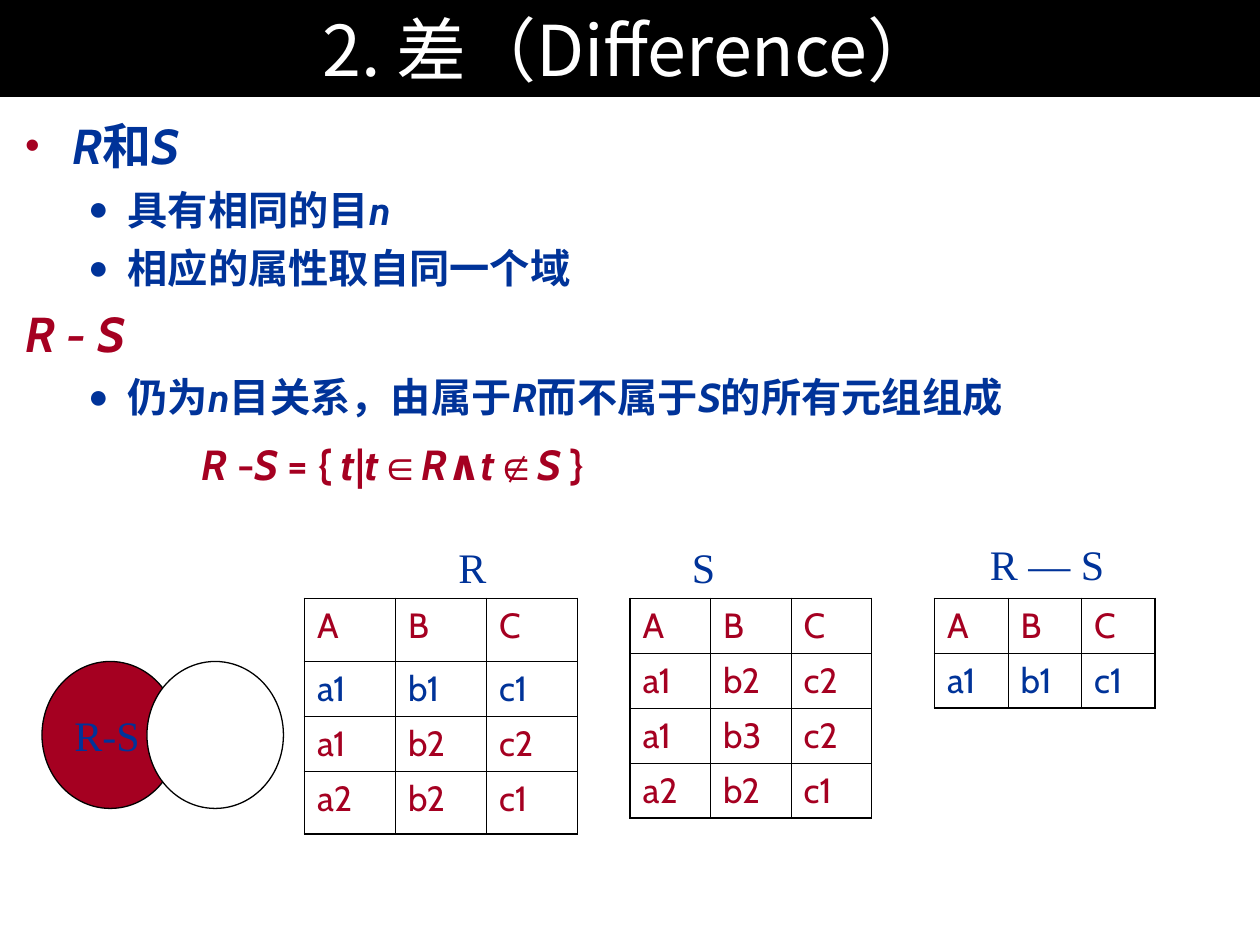
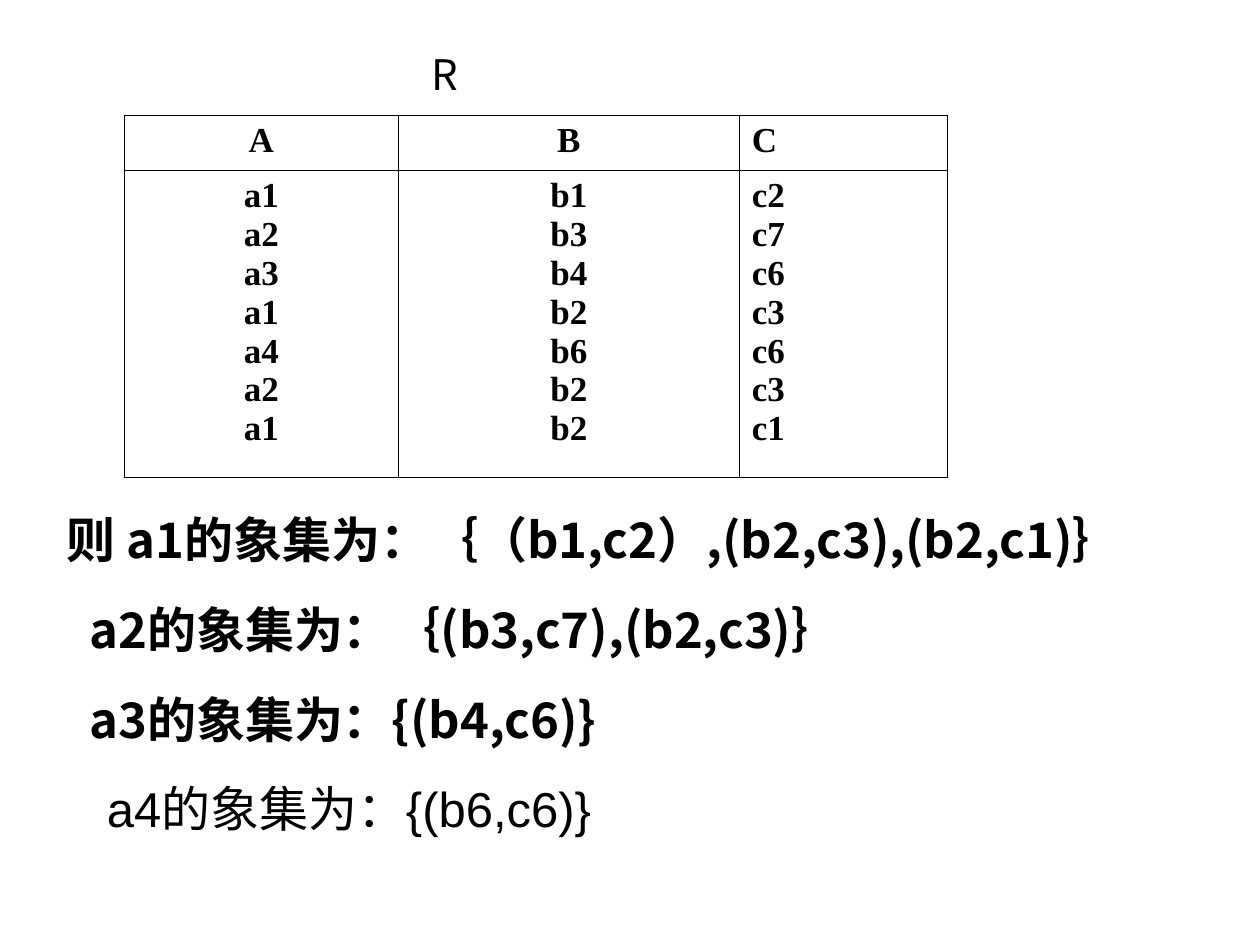
from dataclasses import dataclass

from lxml.etree import SubElement
from pptx import Presentation
from pptx.dml.color import RGBColor
from pptx.enum.shapes import MSO_SHAPE
from pptx.enum.text import MSO_ANCHOR, MSO_AUTO_SIZE, PP_ALIGN
from pptx.oxml.ns import qn
from pptx.util import Pt


@dataclass(frozen=True)
class Theme:
    black: str = "000000"
    white: str = "FFFFFF"
    red: str = "A50021"
    blue: str = "003399"
    cjk: str = "Noto Sans CJK SC"
    body: str = "Cabin"
    symbol: str = "Arial"
    serif: str = "Times New Roman"
    title_size: float = 40
    head_size: float = 28
    formula_size: float = 24
    label_size: float = 24
    item_size: float = 23
    cell_size: float = 20
    outer_line: float = 1.08
    inner_line: float = 0.45


THEME = Theme()
WIDTH, HEIGHT = 720, 540
BAND_HEIGHT = 55.4
TABLE_TOP = 342
ROW_HEIGHT = 31.4
SPACES = {"sb_head": 7, "sb_item": 5.8, "sb_formula": 10, "sb_image_set": 17.5}


def style_run(run, font, size, color, bold=False, italic=False):
    run.font.size = Pt(size)
    run.font.bold = bold
    run.font.italic = italic
    run.font.color.rgb = RGBColor.from_string(color)
    run.font.name = font
    east_asian = SubElement(run._r.get_or_add_rPr(), qn("a:ea"))
    east_asian.set("typeface", font)


def style_frame(frame, font, size, color, bold=False, align=PP_ALIGN.LEFT):
    for para in frame.paragraphs:
        para.alignment = align
        for run in para.runs:
            style_run(run, font, size, color, bold)


def add_title(page, text):
    """Black band across the top with the centred title."""
    title = page.shapes.title
    title.left, title.top, title.width, title.height = (
        Pt(value) for value in (0, 0, WIDTH, BAND_HEIGHT))
    title.fill.solid()
    title.fill.fore_color.rgb = RGBColor.from_string(THEME.black)
    frame = title.text_frame
    frame.text = text
    frame.auto_size = MSO_AUTO_SIZE.NONE
    frame.vertical_anchor = MSO_ANCHOR.MIDDLE
    style_frame(frame, THEME.cjk, THEME.title_size, THEME.white, align=PP_ALIGN.CENTER)


def add_box(page, left, top, width, height):
    box = page.shapes.add_textbox(Pt(left), Pt(top), Pt(width), Pt(height))
    box.text_frame.word_wrap = True
    return box.text_frame


def add_label(page, text, left, top, width, align=PP_ALIGN.CENTER):
    frame = add_box(page, left, top, width, 36)
    frame.text = text
    style_frame(frame, THEME.serif, THEME.label_size, THEME.blue, align=align)


def next_paragraph(frame, space_before):
    """The empty first paragraph of a new box, or a further one with space."""
    first = frame.paragraphs[0]
    if not first.runs:
        return first
    para = frame.add_paragraph()
    para.space_before = Pt(space_before)
    return para


def set_indent(para, left, first=0):
    properties = para._p.get_or_add_pPr()
    properties.set("marL", str(Pt(left)))
    properties.set("indent", str(Pt(first)))


def set_bullet(para, mark, color):
    properties = para._p.get_or_add_pPr()
    fill = SubElement(properties, qn("a:buClr"))
    SubElement(fill, qn("a:srgbClr")).set("val", color)
    SubElement(properties, qn("a:buSzPct")).set("val", "85000")
    SubElement(properties, qn("a:buFont")).set("typeface", "Arial")
    SubElement(properties, qn("a:buChar")).set("char", mark)


def add_marked_text(para, text, size, color):
    """Bold text in which underscores switch italics on and off."""
    para.alignment = PP_ALIGN.JUSTIFY
    for index, piece in enumerate(text.split("_")):
        if piece:
            run = para.add_run()
            run.text = piece
            font = THEME.symbol if piece in "∈∉" else THEME.body
            style_run(run, font, size, color, bold=True, italic=index % 2 == 1)


def add_head(frame, text, color, bullet=None):
    para = next_paragraph(frame, SPACES["sb_head"])
    if bullet:
        set_indent(para, 27, -27)
        set_bullet(para, bullet, THEME.red)
    add_marked_text(para, text, THEME.head_size, color)


def add_item(frame, text):
    para = next_paragraph(frame, SPACES["sb_item"])
    para.level = 1
    set_indent(para, 58.5, -22.5)
    set_bullet(para, "●", THEME.blue)
    add_marked_text(para, text, THEME.item_size, THEME.blue)


def add_formula(frame, text):
    para = next_paragraph(frame, SPACES["sb_formula"])
    set_indent(para, 101)
    add_marked_text(para, text, THEME.formula_size, THEME.red)


def add_circle(page, left, color, text=""):
    circle = page.shapes.add_shape(MSO_SHAPE.OVAL, Pt(left), Pt(378), Pt(78), Pt(84))
    circle.shadow.inherit = False
    circle.fill.solid()
    circle.fill.fore_color.rgb = RGBColor.from_string(color)
    circle.line.color.rgb = RGBColor.from_string(THEME.black)
    circle.line.width = Pt(0.75)
    if text:
        frame = circle.text_frame
        frame.text = text
        frame.word_wrap = False
        frame.vertical_anchor = MSO_ANCHOR.MIDDLE
        style_frame(frame, THEME.serif, THEME.label_size, THEME.blue)


def add_grid(page, left, top, widths, heights):
    """An unstyled table with the given column widths and row heights."""
    table = page.shapes.add_table(
        len(heights), len(widths), Pt(left), Pt(top), Pt(sum(widths)), Pt(sum(heights))).table
    table.first_row = table.horz_banding = False
    for column, width in zip(table.columns, widths):
        column.width = Pt(width)
    for row, height in zip(table.rows, heights):
        row.height = Pt(height)
    return table


def set_borders(cell, widths):
    properties = cell._tc.get_or_add_tcPr()
    for side, width in zip("LRTB", widths):
        line = SubElement(properties, qn(f"a:ln{side}"))
        line.set("w", str(Pt(width)))
        fill = SubElement(line, qn("a:solidFill"))
        SubElement(fill, qn("a:srgbClr")).set("val", THEME.black)


def draw_rules(table, outer):
    """Thin inner rules and a frame of the given width."""
    last_row, last_column = len(table.rows) - 1, len(table.columns) - 1
    for r, row in enumerate(table.rows):
        for c, cell in enumerate(row.cells):
            on_edge = (c == 0, c == last_column, r == 0, r == last_row)
            set_borders(cell, [outer if edge else THEME.inner_line for edge in on_edge])


def clear_fills(table):
    for cell in table.iter_cells():
        cell.fill.background()


def add_relation(page, left, column_width, rows, heights, blue_row=None):
    """A relation with columns A, B, C; one row may be picked out in blue."""
    rows = ["A B C", *rows]
    table = add_grid(page, left, TABLE_TOP, [column_width] * 3, heights)
    draw_rules(table, THEME.outer_line)
    clear_fills(table)
    for r, values in enumerate(rows):
        color = THEME.blue if r == blue_row else THEME.red
        for c, value in enumerate(values.split()):
            frame = table.cell(r, c).text_frame
            frame.text = value
            style_frame(frame, THEME.body, THEME.cell_size, color)


def add_caption_table(page, text):
    """Borderless table whose first cell names the relation."""
    table = add_grid(page, 48, 20.2, [221, 388], [36, 199])
    table.cell(0, 1).merge(table.cell(1, 1))
    clear_fills(table)
    frame = table.cell(0, 0).text_frame
    frame.text = text
    style_frame(frame, THEME.cjk, THEME.label_size, THEME.black, align=PP_ALIGN.RIGHT)


def add_column_table(page, columns):
    """Header row above one tall row that stacks each column's values."""
    table = add_grid(page, 71, 65.7, [156.7, 194.8, 119], [31.5, 175.4])
    draw_rules(table, THEME.inner_line)
    clear_fills(table)
    for c, (name, values) in enumerate(columns.items()):
        align = PP_ALIGN.LEFT if name == "C" else PP_ALIGN.CENTER
        for r, text in enumerate((name, "\n".join(values.split()))):
            frame = table.cell(r, c).text_frame
            frame.text = text
            style_frame(frame, THEME.serif, THEME.cell_size, THEME.black, True, align)


def add_image_sets(page, lines):
    frame = add_box(page, 31, 287.5, 641, 228)
    for text, indent, font, bold, align in lines:
        para = next_paragraph(frame, SPACES["sb_image_set"])
        para.text = text
        para.alignment = align
        para.line_spacing = Pt(33.8)
        set_indent(para, indent)
        style_run(para.runs[0], font, THEME.head_size, THEME.black, bold)


def build_difference(deck):
    page = deck.slides.add_slide(deck.slide_layouts[5])
    add_title(page, "2. 差（Difference）")

    # Definition
    frame = add_box(page, 0, BAND_HEIGHT, WIDTH, HEIGHT - BAND_HEIGHT)
    frame.margin_left = frame.margin_right = Pt(14.4)
    frame.margin_top = frame.margin_bottom = Pt(10.8)
    add_head(frame, "_R_和_S_", THEME.blue, "•")
    add_item(frame, "具有相同的目_n_")
    add_item(frame, "相应的属性取自同一个域")
    add_head(frame, "_R - S_", THEME.red)
    add_item(frame, "仍为_n_目关系，由属于_R_而不属于_S_的所有元组组成")
    add_formula(frame, "_R _-_S_ = { _t_|_t_∈_R_∧_t_∉_S_ }")

    # Venn diagram
    add_circle(page, 24, THEME.red, "R-S")
    add_circle(page, 84, THEME.white)

    # Relations and their names
    add_relation(page, 174, 52, ["a1 b1 c1", "a1 b2 c2", "a2 b2 c1"],
                 [36, ROW_HEIGHT, ROW_HEIGHT, 36], blue_row=1)
    add_relation(page, 360, 46, ["a1 b2 c2", "a1 b3 c2", "a2 b2 c1"], [ROW_HEIGHT] * 4)
    add_label(page, "R", 246, 306, 48)
    add_label(page, "S", 378, 306, 48)
    add_relation(page, 534, 42, ["a1 b1 c1"], [ROW_HEIGHT] * 2, blue_row=1)
    add_label(page, "R — S", 558.5, 304, 107, PP_ALIGN.LEFT)


def build_image_sets(deck):
    page = deck.slides.add_slide(deck.slide_layouts[6])
    add_caption_table(page, "R")
    add_column_table(page, {
        "A": "a1 a2 a3 a1 a4 a2 a1",
        "B": "b1 b3 b4 b2 b6 b2 b2",
        "C": "c2 c7 c6 c3 c6 c3 c1",
    })
    add_image_sets(page, [
        ("则 a1的象集为：｛（b1,c2）,(b2,c3),(b2,c1)｝", 0, THEME.cjk, True, PP_ALIGN.JUSTIFY),
        ("a2的象集为：｛(b3,c7),(b2,c3)｝", 13, THEME.cjk, True, PP_ALIGN.JUSTIFY),
        ("a3的象集为：{(b4,c6)}", 13, THEME.cjk, True, PP_ALIGN.JUSTIFY),
        ("a4的象集为：{(b6,c6)}", 23, THEME.symbol, False, PP_ALIGN.LEFT),
    ])


def main():
    deck = Presentation()
    deck.slide_width, deck.slide_height = Pt(WIDTH), Pt(HEIGHT)
    build_difference(deck)
    build_image_sets(deck)
    deck.save("out.pptx")


if __name__ == "__main__":
    main()
